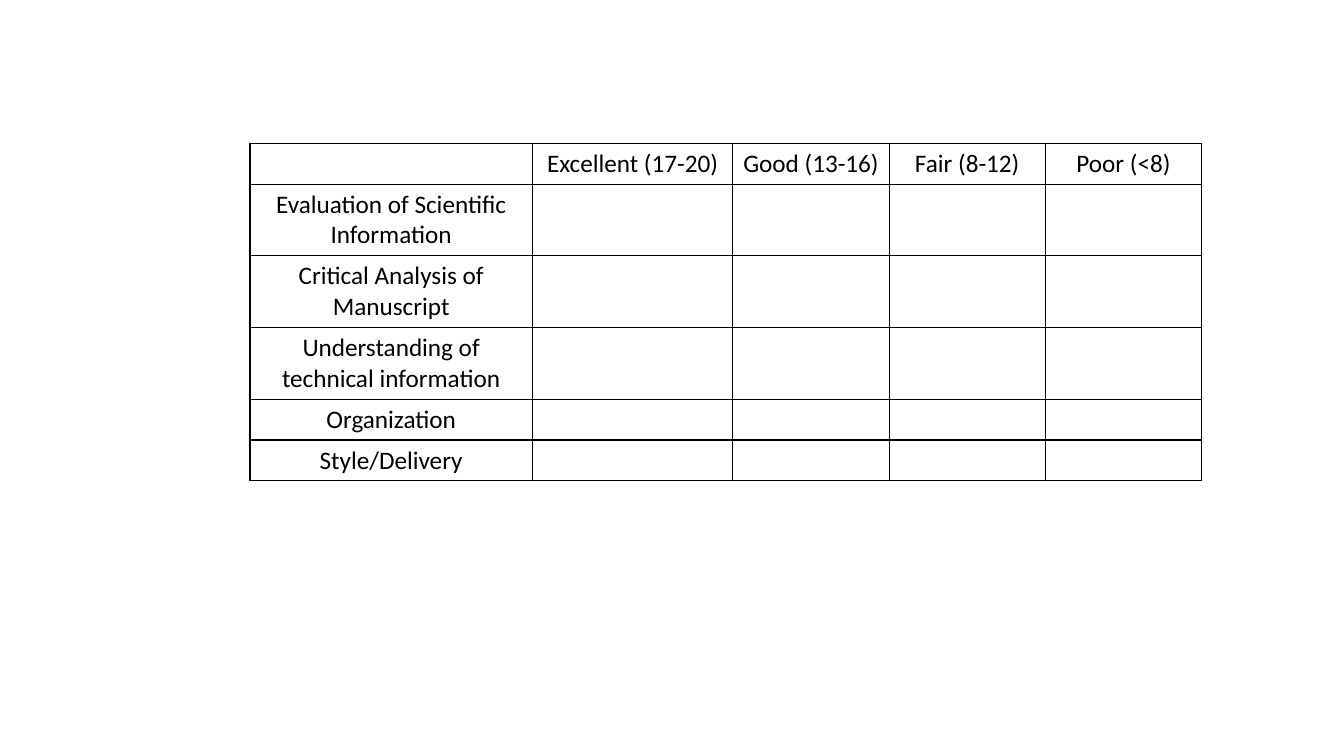
from lxml import etree
from pptx import Presentation
from pptx.dml.color import RGBColor
from pptx.enum import text
from pptx.oxml.ns import qn
from pptx.util import Pt

# Content
HEAD = ["", "Excellent (17-20)", "Good (13-16)", "Fair (8-12)", "Poor (<8)"]
ROWS = [  # criterion, lines of text
    ("Evaluation of Scientific Information", 2),
    ("Critical Analysis of Manuscript", 2),
    ("Understanding of technical information", 2),
    ("Organization", 1),
    ("Style/Delivery", 1),
]

# Layout and style
LEFT, TOP = 178.6, 102.3
WIDTHS = [201.6, 143.3, 111.6, 111.6, 111.6]
LINE, PAD = 22, 7.2
SIZE, FONT = 18, "Calibri"
BLACK = RGBColor(0, 0, 0)


def add_edges(cell):
    props = cell._tc.get_or_add_tcPr()
    for side in ("a:lnL", "a:lnR", "a:lnT", "a:lnB"):
        edge = etree.SubElement(props, qn(side), w=str(Pt(1)))
        fill = etree.SubElement(edge, qn("a:solidFill"))
        etree.SubElement(fill, qn("a:srgbClr"), val=str(BLACK))


def fill_cell(cell, words):
    add_edges(cell)
    cell.fill.background()
    cell.vertical_anchor = text.MSO_ANCHOR.MIDDLE
    cell.text_frame.text = words
    para = cell.text_frame.paragraphs[0]
    para.alignment = text.PP_ALIGN.CENTER
    para.font.size = Pt(SIZE)
    for run in para.runs:
        run.font.size = Pt(SIZE)
        run.font.name = FONT
        run.font.bold = False
        run.font.color.rgb = BLACK


def main():
    deck = Presentation()
    deck.slide_width, deck.slide_height = Pt(960), Pt(540)
    slide = deck.slides.add_slide(deck.slide_layouts[6])

    # Scoring table
    grid = [HEAD] + [[name] + [""] * (len(HEAD) - 1) for name, _ in ROWS]
    highs = [count * LINE + PAD for count in [1] + [n for _, n in ROWS]]
    table = slide.shapes.add_table(
        len(grid), len(HEAD), Pt(LEFT), Pt(TOP), Pt(sum(WIDTHS)), Pt(sum(highs))
    ).table
    table.first_row = table.horz_banding = False
    for col, width in zip(table.columns, WIDTHS):
        col.width = Pt(width)
    for row, high, words in zip(table.rows, highs, grid):
        row.height = Pt(high)
        for cell, word in zip(row.cells, words):
            fill_cell(cell, word)

    deck.save("out.pptx")


if __name__ == "__main__":
    main()
